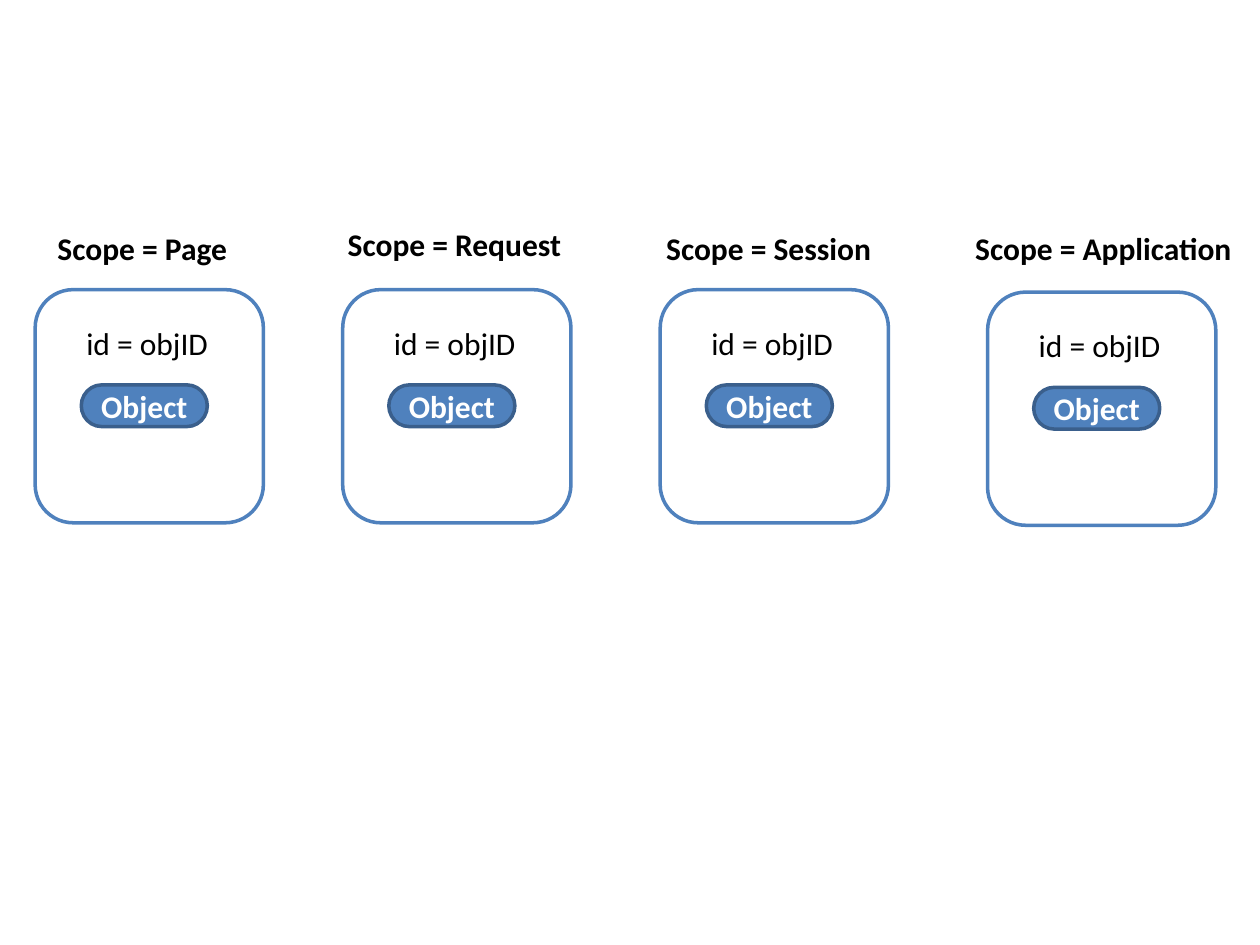
"""Build a slide that shows one object in each of four scopes."""
from pptx import Presentation
from pptx.dml.color import RGBColor as Rgb
from pptx.enum import shapes, text
from pptx.util import Cm, Pt

theme = {
    "font": "Calibri", "size": Pt(18), "line": Pt(2),
    "white": Rgb(0xFF, 0xFF, 0xFF), "black": Rgb(0, 0, 0),
    "blue": Rgb(0x4F, 0x81, 0xBD), "dark": Rgb(0x3A, 0x5F, 0x8C),
}

deck = Presentation()
deck.slide_width, deck.slide_height = Cm(25.4), Cm(19.05)
slide = deck.slides.add_slide(deck.slide_layouts[6])


def draw(kind, x, y, w, h, fill, line):
    shape = slide.shapes.add_shape(kind, Cm(x), Cm(y), Cm(w), Cm(h))
    shape.shadow.inherit = False
    shape.fill.solid()
    shape.fill.fore_color.rgb = theme[fill]
    shape.line.color.rgb = theme[line]
    shape.line.width = theme["line"]
    return shape


def write(shape, words, color, bold, align, wrap):
    frame = shape.text_frame
    frame.text = words
    frame.word_wrap = wrap
    para = frame.paragraphs[0]
    para.alignment = align
    font = para.runs[0].font
    font.name, font.size, font.bold = theme["font"], theme["size"], bold
    font.color.rgb = theme[color]


left, mid = text.PP_ALIGN.LEFT, text.PP_ALIGN.CENTER
scopes = [
    ("Page", 0.71, 5.84, 0.91, 4.5, 3.96),
    ("Request", 6.91, 5.84, 6.76, 4.42, 4.85),
    ("Session", 13.31, 5.84, 13.18, 4.5, 4.67),
    ("Application", 19.91, 5.89, 19.41, 4.5, 5.74),
]

for name, x, y, head_x, head_y, head_w in scopes:
    draw(shapes.MSO_SHAPE.ROUNDED_RECTANGLE, x, y, 4.6, 4.7, "white", "blue")
    pill = draw(shapes.MSO_SHAPE.FLOWCHART_TERMINATOR,
                x + 0.93, y + 1.92, 2.54, 0.84, "blue", "dark")
    pill.text_frame.vertical_anchor = text.MSO_ANCHOR.MIDDLE
    write(pill, "Object", "white", True, mid, True)
    labels = [
        ("id = objID", x + 0.78, y + 0.56, 3, False),
        (f"Scope = {name}", head_x, head_y, head_w, True),
    ]
    for words, lx, ly, width, bold in labels:
        box = slide.shapes.add_textbox(Cm(lx), Cm(ly), Cm(width), Cm(1.02))
        write(box, words, "black", bold, left, False)
        box.text_frame.auto_size = text.MSO_AUTO_SIZE.SHAPE_TO_FIT_TEXT

deck.save("out.pptx")
